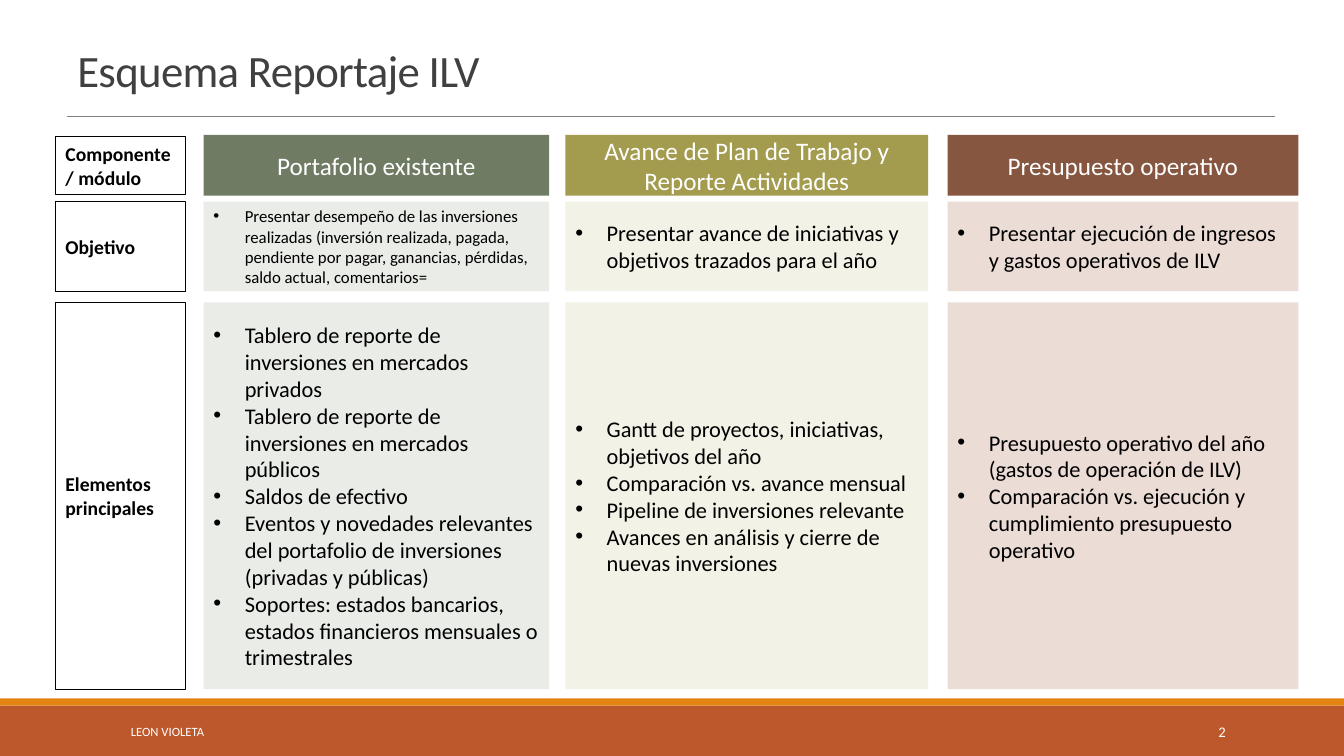
from lxml import etree
from pptx import Presentation
from pptx.dml.color import RGBColor
from pptx.enum.shapes import MSO_CONNECTOR, MSO_SHAPE
from pptx.enum.text import MSO_ANCHOR, PP_ALIGN
from pptx.oxml.ns import qn
from pptx.util import Cm, Pt

RECTANGLE = MSO_SHAPE.RECTANGLE
STRAIGHT = MSO_CONNECTOR.STRAIGHT
MIDDLE = MSO_ANCHOR.MIDDLE
LEFT, CENTER, RIGHT = PP_ALIGN.LEFT, PP_ALIGN.CENTER, PP_ALIGN.RIGHT
rgb = RGBColor.from_string

deck = Presentation()
deck.slide_width, deck.slide_height = Cm(33.87), Cm(19.05)
page = deck.slides.add_slide(deck.slide_layouts[6])


def add_box(left, top, width, height, fill=None, border=None):
    box = page.shapes.add_shape(RECTANGLE, Cm(left), Cm(top), Cm(width), Cm(height))
    box.shadow.inherit = False
    if fill:
        box.fill.solid()
        box.fill.fore_color.rgb = rgb(fill)
    else:
        box.fill.background()
    if border:
        box.line.color.rgb = rgb(border)
        box.line.width = Pt(0.75)
    else:
        box.line.fill.background()
    return box


def write(box, lines, size, color="000000", align=LEFT, bold=False, bullets=False):
    frame = box.text_frame
    frame.word_wrap = True
    frame.vertical_anchor = MIDDLE
    for index, line in enumerate(lines):
        para = frame.add_paragraph() if index else frame.paragraphs[0]
        para.text = line
        para.alignment = align
        para.font.name = "Calibri"
        para.font.size = Pt(size)
        para.font.bold = bold
        para.font.color.rgb = rgb(color)
        if bullets:
            properties = para._p.get_or_add_pPr()
            properties.set("marL", str(Cm(0.79)))
            properties.set("indent", str(Cm(-0.79)))
            bullet_font = etree.Element(qn("a:buFont"), typeface="Arial")
            bullet = etree.Element(qn("a:buChar"), char="•")
            properties.insert(0, bullet_font)
            properties.insert(1, bullet)


# Footer bands and the rule under the title
add_box(0, 17.78, 33.87, 1.27, "BD582C")
add_box(0, 17.6, 33.87, 0.18, "E48312")
rule = page.shapes.add_connector(STRAIGHT, Cm(1.7), Cm(2.92), Cm(32.13), Cm(2.92))
rule.line.color.rgb = rgb("808080")
rule.line.width = Pt(0.5)
etree.SubElement(rule._element.spPr, qn("a:effectLst"))

# Footer text and title
footer = page.shapes.add_textbox(Cm(3.05), Cm(17.93), Cm(13.39), Cm(1.02))
write(footer, ["LEON VIOLETA"], 9, "FFFFFF")
number = page.shapes.add_textbox(Cm(27.51), Cm(17.93), Cm(3.63), Cm(1.02))
write(number, ["2"], 10.5, "FFFFFF", RIGHT)
title = page.shapes.add_textbox(Cm(1.7), Cm(0.97), Cm(30.43), Cm(1.8))
write(title, ["Esquema Reportaje ILV"], 32, "404040")
title_para = title.text_frame.paragraphs[0]
title_para.line_spacing = 0.85
title_para.runs[0].font._element.set("spc", "-50")

# Row labels: text, top, height
labels = [
    ("Componente / módulo", 3.45, 1.45),
    ("Objetivo", 5.08, 2.26),
    ("Elementos principales", 7.62, 9.75),
]
for text, top, height in labels:
    write(add_box(1.4, top, 3.28, height, border="000000"), [text], 14, bold=True)

# Modules: left, width, header fill, body fill, heading, goal, goal size, elements
modules = [
    (5.13, 8.71, "6F7B63", "EAECE7", "Portafolio existente",
     "Presentar desempeño de las inversiones realizadas (inversión realizada, pagada, "
     "pendiente por pagar, ganancias, pérdidas, saldo actual, comentarios=", 12,
     ["Tablero de reporte de inversiones en mercados privados",
      "Tablero de reporte de inversiones en mercados públicos",
      "Saldos de efectivo",
      "Eventos y novedades relevantes del portafolio de inversiones (privadas y públicas)",
      "Soportes: estados bancarios, estados financieros mensuales o trimestrales"]),
    (14.25, 9.14, "A39B4E", "F3F2E6", "Avance de Plan de Trabajo y Reporte Actividades",
     "Presentar avance de iniciativas y objetivos trazados para el año", 16,
     ["Gantt de proyectos, iniciativas, objetivos del año",
      "Comparación vs. avance mensual",
      "Pipeline de inversiones relevante",
      "Avances en análisis y cierre de nuevas inversiones"]),
    (23.88, 8.84, "865640", "EBDCD5", "Presupuesto operativo",
     "Presentar ejecución de ingresos y gastos operativos de ILV", 16,
     ["Presupuesto operativo del año (gastos de operación de ILV)",
      "Comparación vs. ejecución y cumplimiento presupuesto operativo"]),
]
for left, width, dark, light, heading, goal, goal_size, elements in modules:
    write(add_box(left, 3.4, width, 1.53, dark), [heading], 18, "FFFFFF", CENTER)
    write(add_box(left, 5.08, width, 2.26, light), [goal], goal_size, bullets=True)
    write(add_box(left, 7.62, width, 9.75, light), elements, 16, bullets=True)

deck.save("out.pptx")
